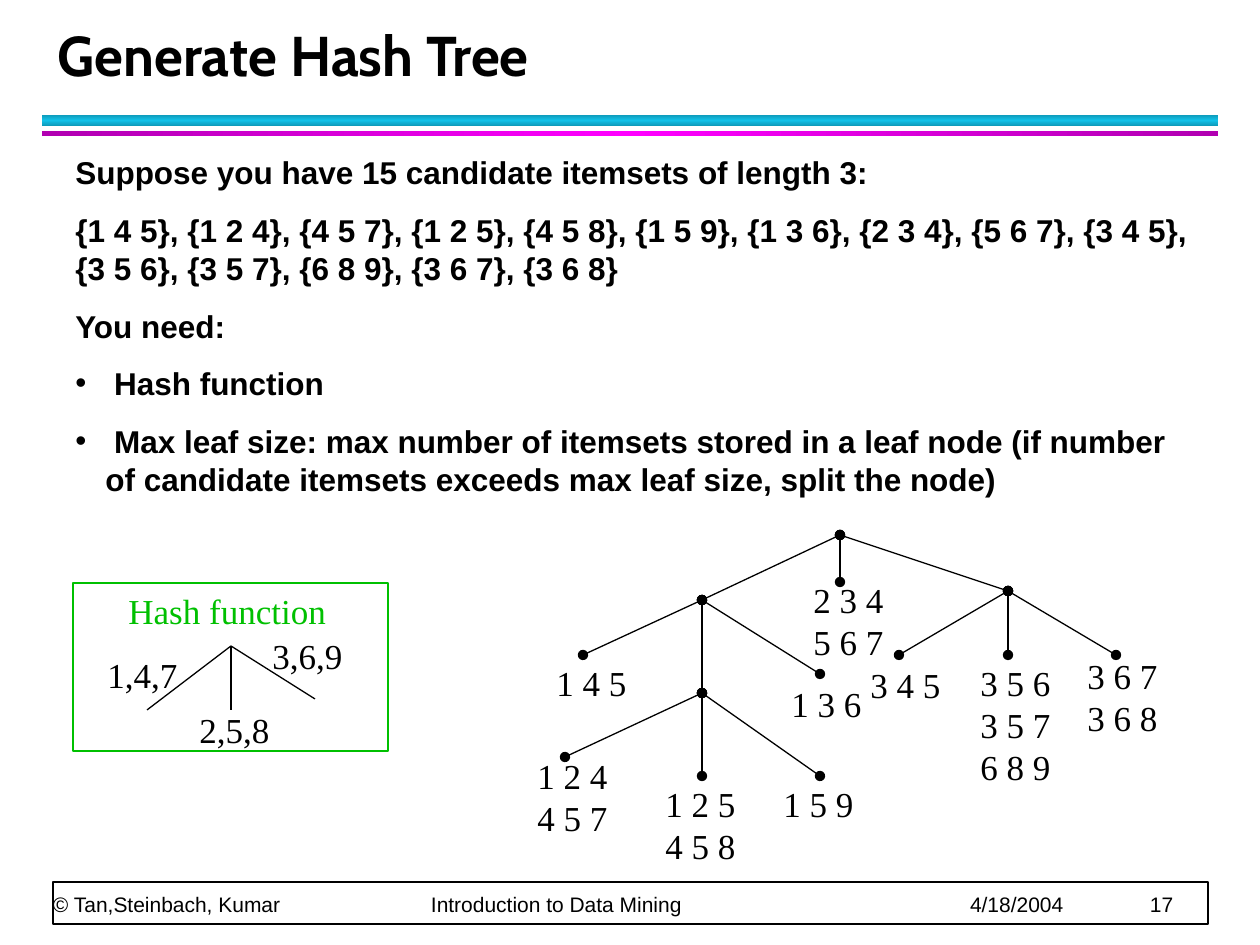
from dataclasses import dataclass

from pptx import Presentation
from pptx.dml.color import RGBColor
from pptx.enum.shapes import MSO_CONNECTOR, MSO_SHAPE
from pptx.enum.text import MSO_ANCHOR, MSO_AUTO_SIZE, PP_ALIGN
from pptx.oxml.ns import qn
from pptx.util import Emu, Pt
from lxml import etree
from copy import deepcopy

RECT = MSO_SHAPE.RECTANGLE
LINE = MSO_CONNECTOR.STRAIGHT
BOTTOM = MSO_ANCHOR.BOTTOM
LEFT = PP_ALIGN.LEFT
NO_FIT = MSO_AUTO_SIZE.NONE

BLACK = RGBColor(0x00, 0x00, 0x00)
WHITE = RGBColor(0xFF, 0xFF, 0xFF)
GREEN = RGBColor(0x00, 0xC0, 0x00)
TEAL = RGBColor(0x0E, 0x9A, 0xB9)
CYAN = RGBColor(0x12, 0xC2, 0xE9)
PURPLE = RGBColor(0xB1, 0x00, 0xB1)
PINK = RGBColor(0xFF, 0x00, 0xFF)
SERIF = "Times New Roman"
SANS = "Arial"


@dataclass
class Band:
    top: int
    high: int
    edge: RGBColor
    mid: RGBColor
    angle: int


@dataclass
class Fan:
    """A node and the ends of its three branches."""
    root: tuple[int, int]
    tips: list[tuple[int, int]]
    dots: bool = True


@dataclass
class Label:
    x: int
    y: int
    text: str
    wide: int = 95
    color: RGBColor = BLACK


BANDS = [
    Band(115, 11, TEAL, CYAN, 90),
    Band(131, 5, PURPLE, PINK, 0),
]
FANS = [
    Fan((840, 535), [(702, 600), (840, 582), (1008, 591)]),
    Fan((702, 600), [(583, 655), (702, 693), (820, 674)]),
    Fan((702, 693), [(565, 757), (702, 776), (820, 776)]),
    Fan((1008, 591), [(899, 655), (1008, 655), (1116, 655)]),
    Fan((231, 646), [(147, 710), (231, 710), (315, 699)], dots=False),
]
LABELS = [
    Label(801, 572, "2 3 4\n5 6 7"),
    Label(544, 655, "1 4 5"),
    Label(779, 676, "1 3 6"),
    Label(525, 748, "1 2 4\n4 5 7"),
    Label(653, 776, "1 2 5\n4 5 8"),
    Label(771, 776, "1 5 9"),
    Label(858, 657, "3 4 5"),
    Label(968, 655, "3 5 6\n3 5 7\n6 8 9"),
    Label(1075, 648, "3 6 7\n3 6 8"),
    Label(95, 647, "1,4,7"),
    Label(187, 702, "2,5,8"),
    Label(260, 628, "3,6,9"),
    Label(116, 583, "Hash function", 223, GREEN),
]
INTRO = [
    "Suppose you have 15 candidate itemsets of length 3:",
    "{1 4 5}, {1 2 4}, {4 5 7}, {1 2 5}, {4 5 8}, {1 5 9}, {1 3 6}, {2 3 4}, "
    "{5 6 7}, {3 4 5}, {3 5 6}, {3 5 7}, {6 8 9}, {3 6 7}, {3 6 8}",
    "You need:",
]
NEEDS = [
    " Hash function",
    " Max leaf size: max number of itemsets stored in a leaf node (if number "
    "of candidate itemsets exceeds max leaf size, split the node)",
]


def px(n: int) -> Emu:
    return Emu(round(n * 914400 / 126))


def style(frame, font: str, size: int, lead: float, color=BLACK, bold=False) -> None:
    for para in frame.paragraphs:
        para.alignment = LEFT
        para.line_spacing = Pt(lead)
        for run in para.runs:
            run.font.name = font
            run.font.size = Pt(size)
            run.font.bold = bold
            run.font.color.rgb = color


def add_text(slide, x: int, y: int, w: int, h: int, text: str, wrap=True):
    frame = slide.shapes.add_textbox(px(x), px(y), px(w), px(h)).text_frame
    frame.word_wrap = wrap
    frame.text = text
    return frame


def add_rect(slide, x: int, y: int, w: int, h: int):
    rect = slide.shapes.add_shape(RECT, px(x), px(y), px(w), px(h))
    rect.shadow.inherit = False
    return rect


def add_band(slide, band: Band) -> None:
    rect = add_rect(slide, 42, band.top, 1176, band.high)
    rect.line.fill.background()
    rect.fill.gradient()
    rect.fill.gradient_angle = band.angle
    stops = rect._element.spPr.find(qn("a:gradFill")).find(qn("a:gsLst"))
    stops.insert(1, deepcopy(stops[0]))
    colors = (band.edge, band.mid, band.edge)
    for i, (stop, color) in enumerate(zip(rect.fill.gradient_stops, colors)):
        stop.position = i / 2
        stop.color.rgb = color


def add_fan(slide, fan: Fan) -> None:
    for tip in fan.tips:
        ends = [px(n) for n in (*fan.root, *tip)]
        link = slide.shapes.add_connector(LINE, *ends)
        link.line.color.rgb = BLACK
        link.line.width = Pt(0.75)
        if fan.dots:
            for tag in ("a:headEnd", "a:tailEnd"):
                etree.SubElement(link.line._get_or_add_ln(), qn(tag), type="oval")
        etree.SubElement(link._element.spPr, qn("a:effectLst"))


def add_label(slide, label: Label) -> None:
    rows = label.text.count("\n") + 1
    frame = add_text(slide, label.x, label.y, label.wide, 13 + 42 * rows, label.text, False)
    style(frame, SERIF, 20, 24, label.color)


def add_bullet(para) -> None:
    props = para._p.get_or_add_pPr()
    props.set("marL", str(px(30)))
    props.set("indent", str(-px(30)))
    etree.SubElement(props, qn("a:buFont"), typeface=SANS)
    etree.SubElement(props, qn("a:buChar"), char="•")


def add_body(slide) -> None:
    frame = add_text(slide, 63, 147, 1144, 357, "\n".join(INTRO + NEEDS))
    for para in frame.paragraphs[len(INTRO):]:
        add_bullet(para)
    for para in frame.paragraphs[1:]:
        para.space_before = Pt(11.2)
    style(frame, SANS, 18, 21.7, bold=True)


def add_footer(slide) -> None:
    rect = add_rect(slide, 53, 882, 1155, 42)
    rect.fill.solid()
    rect.fill.fore_color.rgb = WHITE
    rect.line.color.rgb = BLACK
    rect.line.width = Pt(1)
    parts = ["© Tan,Steinbach, Kumar", "Introduction to Data Mining", "4/18/2004", "17"]
    frame = add_text(slide, 53, 847, 1153, 70, "\t".join(parts))
    frame.vertical_anchor = BOTTOM
    frame.margin_left = frame.margin_right = frame.margin_top = frame.margin_bottom = 0
    tabs = etree.SubElement(frame.paragraphs[0]._p.get_or_add_pPr(), qn("a:tabLst"))
    for x in (378, 917, 1097):
        etree.SubElement(tabs, qn("a:tab"), pos=str(px(x)), algn="l")
    style(frame, SANS, 12, 20)


def set_title(slide) -> None:
    title = slide.shapes.title
    title.left, title.top, title.width, title.height = map(px, (45, 21, 1142, 73))
    frame = title.text_frame
    frame.text = "Generate Hash Tree"
    frame.auto_size = NO_FIT
    frame.vertical_anchor = BOTTOM
    style(frame, "Cabin", 32, 36, bold=True)


def main() -> None:
    deck = Presentation()
    deck.slide_width, deck.slide_height = px(1260), px(945)
    slide = deck.slides.add_slide(deck.slide_layouts[5])
    set_title(slide)
    for band in BANDS:
        add_band(slide, band)
    add_footer(slide)
    for fan in FANS:
        add_fan(slide, fan)
    for label in LABELS:
        add_label(slide, label)
    frame = add_rect(slide, 73, 583, 315, 168)
    frame.fill.background()
    frame.line.color.rgb = GREEN
    frame.line.width = Pt(0.75)
    add_body(slide)
    deck.save("out.pptx")


if __name__ == "__main__":
    main()
